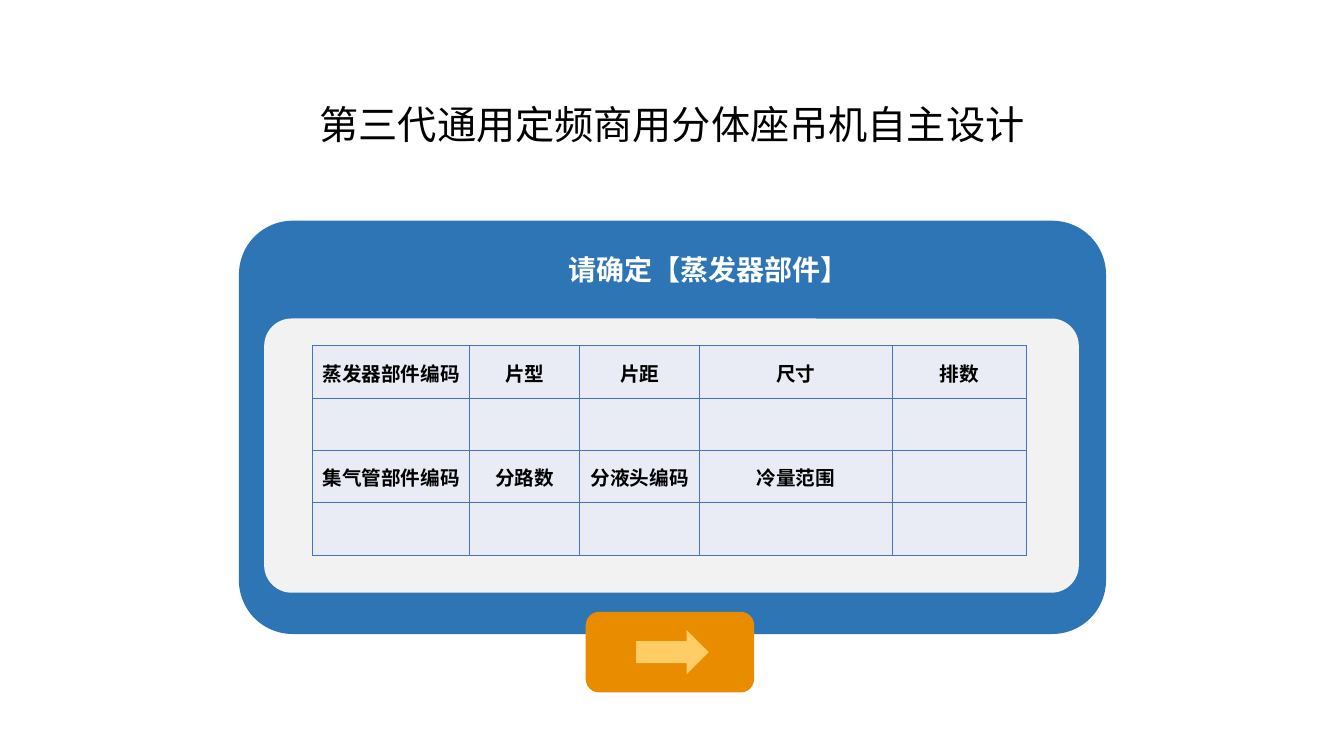
from collections import namedtuple

from lxml.etree import SubElement
from pptx import Presentation
from pptx.dml.color import RGBColor
from pptx.enum.shapes import MSO_SHAPE as Shape
from pptx.enum.text import MSO_ANCHOR as Anchor, MSO_AUTO_SIZE as AutoSize, PP_ALIGN as Align
from pptx.oxml.ns import qn
from pptx.util import Inches, Pt

COLORS = {
    "panel": "2E75B6", "card": "F2F2F2", "cell": "E9EBF5", "border": "4472C4",
    "button": "EA8C00", "arrow": "FFCC66", "dark": "000000", "light": "FFFFFF",
}
FONT = "Noto Sans CJK SC"
GRID = Inches(0.1)  # side of one grid square; the slide is 133.3 columns by 75 rows
COLUMN_WIDTHS = [15.6, 10.9, 11.9, 19.1, 13.3]
ROW_HEIGHT = 5.2
PART_ROWS = [
    ["蒸发器部件编码", "片型", "片距", "尺寸", "排数"],
    [""] * 5,
    ["集气管部件编码", "分路数", "分液头编码", "冷量范围", ""],
    [""] * 5,
]
Box = namedtuple("Box", "left top width height")


def color(name):
    return RGBColor.from_string(COLORS[name])


def inside(box, left, top, width, height):
    """Box whose corner is given from the corner of the box around it."""
    return Box(box.left + left, box.top + top, width, height)


def emu(box):
    return [round(length * GRID) for length in box]


def write(frame, text, size, color_name, bold=False, **frame_format):
    for key, value in frame_format.items():
        setattr(frame, key, value)
    paragraph = frame.paragraphs[0]
    paragraph.alignment = Align.CENTER
    run = paragraph.add_run()
    run.text = text
    for key, value in {"size": Pt(size), "bold": bold, "name": FONT}.items():
        setattr(run.font, key, value)
    run.font.color.rgb = color(color_name)
    SubElement(run.font._element, qn("a:ea"), typeface=FONT)


def add_block(slide, kind, box, color_name, rounding=None):
    block = slide.shapes.add_shape(kind, *emu(box))
    block.shadow.inherit = False
    block.fill.solid()
    block.fill.fore_color.rgb = color(color_name)
    block.line.fill.background()
    if rounding is not None:
        block.adjustments[0] = rounding


def add_title(slide, box):
    title = slide.shapes.title
    title.left, title.top, title.width, title.height = emu(box)
    write(title.text_frame, "第三代通用定频商用分体座吊机自主设计", 28, "dark",
          word_wrap=False, auto_size=AutoSize.NONE, vertical_anchor=Anchor.MIDDLE)


def format_cell(cell):
    properties = cell._tc.get_or_add_tcPr()
    for side in ("a:lnL", "a:lnR", "a:lnT", "a:lnB"):
        line = SubElement(properties, qn(side), w=str(Pt(1)))
        SubElement(SubElement(line, qn("a:solidFill")), qn("a:srgbClr"), val=COLORS["border"])
    cell.fill.solid()
    cell.fill.fore_color.rgb = color("cell")
    margins = {"margin_left": 0.01, "margin_right": 0.01, "margin_top": 0.01, "margin_bottom": 0}
    for side, inches in margins.items():
        setattr(cell, side, Inches(inches))
    cell.vertical_anchor = Anchor.MIDDLE


def add_part_table(slide, box):
    table = slide.shapes.add_table(len(PART_ROWS), len(COLUMN_WIDTHS), *emu(box)).table
    for column, width in zip(table.columns, COLUMN_WIDTHS):
        column.width = round(width * GRID)
    for row, labels in zip(table.rows, PART_ROWS):
        row.height = round(ROW_HEIGHT * GRID)
        for cell, label in zip(row.cells, labels):
            format_cell(cell)
            if label:
                write(cell.text_frame, label, 14, "dark", bold=True)


def add_panel(slide, box):
    add_block(slide, Shape.ROUNDED_RECTANGLE, box, "panel", 0.13)
    # Heading of the panel
    heading = slide.shapes.add_textbox(*emu(inside(box, 28.8, 2.7, 35.6, 4.4)))
    write(heading.text_frame, "请确定【蒸发器部件】", 20, "light", bold=True, word_wrap=True)
    # Card with the table
    card = inside(box, 2.5, 9.7, 80.8, 27.2)
    add_block(slide, Shape.ROUNDED_RECTANGLE, card, "card", 0.1)
    add_part_table(slide, inside(card, 4.8, 2.7, sum(COLUMN_WIDTHS), ROW_HEIGHT * len(PART_ROWS)))


def add_next_button(slide, box):
    add_block(slide, Shape.ROUNDED_RECTANGLE, box, "button")
    add_block(slide, Shape.RIGHT_ARROW, inside(box, 5, 1.8, 7.2, 4.4), "arrow")


def main():
    deck = Presentation()
    deck.slide_width, deck.slide_height = Inches(13.33), Inches(7.5)
    slide = deck.slides.add_slide(deck.slide_layouts[5])
    add_title(slide, Box(29.6, 9.4, 74.1, 5.7))
    add_panel(slide, Box(23.7, 21.9, 86, 41))
    add_next_button(slide, Box(58.1, 60.7, 16.7, 8))
    deck.save("out.pptx")


if __name__ == "__main__":
    main()
